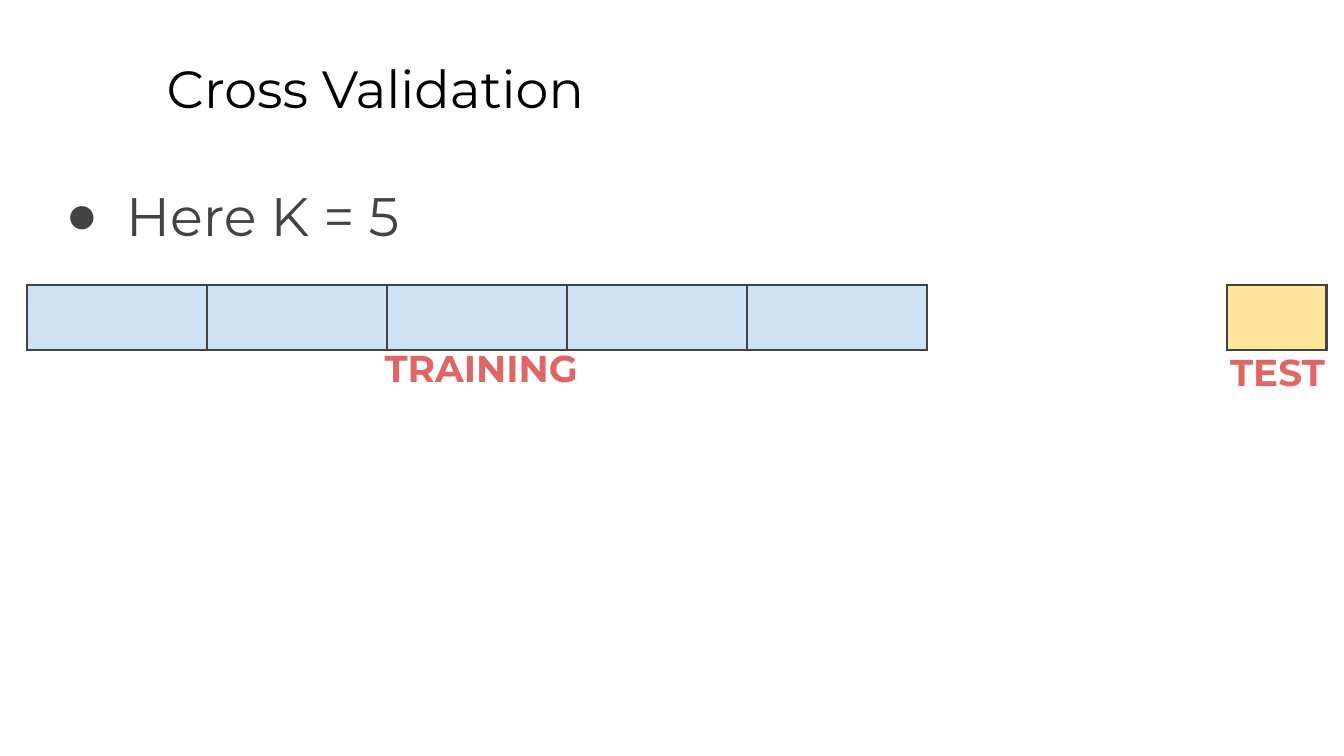
"""Build the cross validation slide with its training and test bars."""
from dataclasses import dataclass
from lxml import etree
from pptx import Presentation
from pptx.dml.color import RGBColor
from pptx.enum import text as t
from pptx.oxml import ns
from pptx.util import Inches, Pt


@dataclass(frozen=True)
class Theme:
    """Colours, fonts and type sizes."""
    face: str = "Montserrat"
    mark: str = "Arial"
    black: str = "000000"
    grey: str = "434343"
    red: str = "E06666"
    blue: str = "CFE2F3"
    gold: str = "FFE599"
    head: int = 28
    body: int = 29
    label: int = 20


@dataclass(frozen=True)
class Words:
    """A piece of text with its place and format."""
    text: str
    box: tuple[float, float, float, float]
    size: int
    hue: str
    bold: bool = False
    align: t.PP_ALIGN = t.PP_ALIGN.LEFT


@dataclass(frozen=True)
class Bar:
    """A row of equal folds."""
    left: float
    width: float
    count: int
    hue: str


THEME = Theme()
TOP, HIGH, PAD = 2.12, 0.43, 0.09
SIDES = ("left", "top", "right", "bottom")
TITLE = Words("Cross Validation", (1.14, 0.32, 8.52, 0.63), THEME.head, THEME.black)
POINT = Words("Here K = 5", (0.34, 1.26, 9.5, 0.86), THEME.body, THEME.grey)
LABELS = [
    Words("TEST", (8.76, 2.5, 1.49, 0.63), THEME.label, THEME.red, True, t.PP_ALIGN.CENTER),
    Words("TRAINING", (2.44, 2.47, 2.28, 0.63), THEME.label, THEME.red, True, t.PP_ALIGN.CENTER),
]
BARS = [Bar(9.13, 0.74, 1, THEME.gold), Bar(0.2, 1.34, 5, THEME.blue)]


def apply(item: object, values: dict) -> None:
    """Set each named value on an object."""
    for name, value in values.items():
        setattr(item, name, value)


def write(shape, words: Words):
    """Place and format text, and return its paragraph."""
    apply(shape, dict(zip(("left", "top", "width", "height"), map(Inches, words.box))))
    frame = shape.text_frame
    frame.text = words.text
    apply(frame, {"word_wrap": True, "auto_size": t.MSO_AUTO_SIZE.NONE,
                  "vertical_anchor": t.MSO_ANCHOR.TOP})
    apply(frame, {f"margin_{side}": Inches(0.1) for side in SIDES})
    para = frame.paragraphs[0]
    para.alignment = words.align
    font = para.runs[0].font
    apply(font, {"name": THEME.face, "size": Pt(words.size), "bold": words.bold})
    font.color.rgb = RGBColor.from_string(words.hue)
    return para


def colour(parent, hue: str) -> None:
    """Add a solid colour to an XML element."""
    fill = etree.SubElement(parent, ns.qn("a:solidFill"))
    etree.SubElement(fill, ns.qn("a:srgbClr"), val=hue)


def bullet(para) -> None:
    """Give a paragraph a round bullet and a hanging indent."""
    props = para._p.get_or_add_pPr()
    props.set("marL", str(Inches(0.5)))
    props.set("indent", str(Inches(-0.45)))
    tint = etree.SubElement(props, ns.qn("a:buClr"))
    etree.SubElement(tint, ns.qn("a:srgbClr"), val=THEME.grey)
    etree.SubElement(props, ns.qn("a:buFont"), typeface=THEME.mark)
    etree.SubElement(props, ns.qn("a:buChar"), char="●")


def border(cell) -> None:
    """Outline all four sides of a cell."""
    props = cell._tc.get_or_add_tcPr()
    for place, side in enumerate("LRTB"):
        line = etree.Element(ns.qn(f"a:ln{side}"), w=str(Pt(1.5)))
        colour(line, THEME.grey)
        props.insert(place, line)


def draw(slide, bar: Bar) -> None:
    """Draw a bar as a one-row table."""
    size = map(Inches, (bar.left, TOP, bar.width * bar.count, HIGH))
    table = slide.shapes.add_table(1, bar.count, *size).table
    apply(table, {"first_row": False, "horz_banding": False})
    for col in table.columns:
        col.width = Inches(bar.width)
    for cell in table.iter_cells():
        apply(cell, {f"margin_{side}": Inches(PAD) for side in SIDES})
        cell.fill.solid()
        cell.fill.fore_color.rgb = RGBColor.from_string(bar.hue)
        border(cell)


def main() -> None:
    """Build and save the slide."""
    deck = Presentation()
    apply(deck, {"slide_width": Inches(10), "slide_height": Inches(10) * 9 // 16})
    slide = deck.slides.add_slide(deck.slide_layouts.get_by_name("Title Only"))
    write(slide.shapes.title, TITLE)
    bullet(write(slide.shapes.add_textbox(0, 0, 0, 0), POINT))
    for words in LABELS:
        write(slide.shapes.add_textbox(0, 0, 0, 0), words)
    for bar in BARS:
        draw(slide, bar)
    deck.save("out.pptx")


main()
